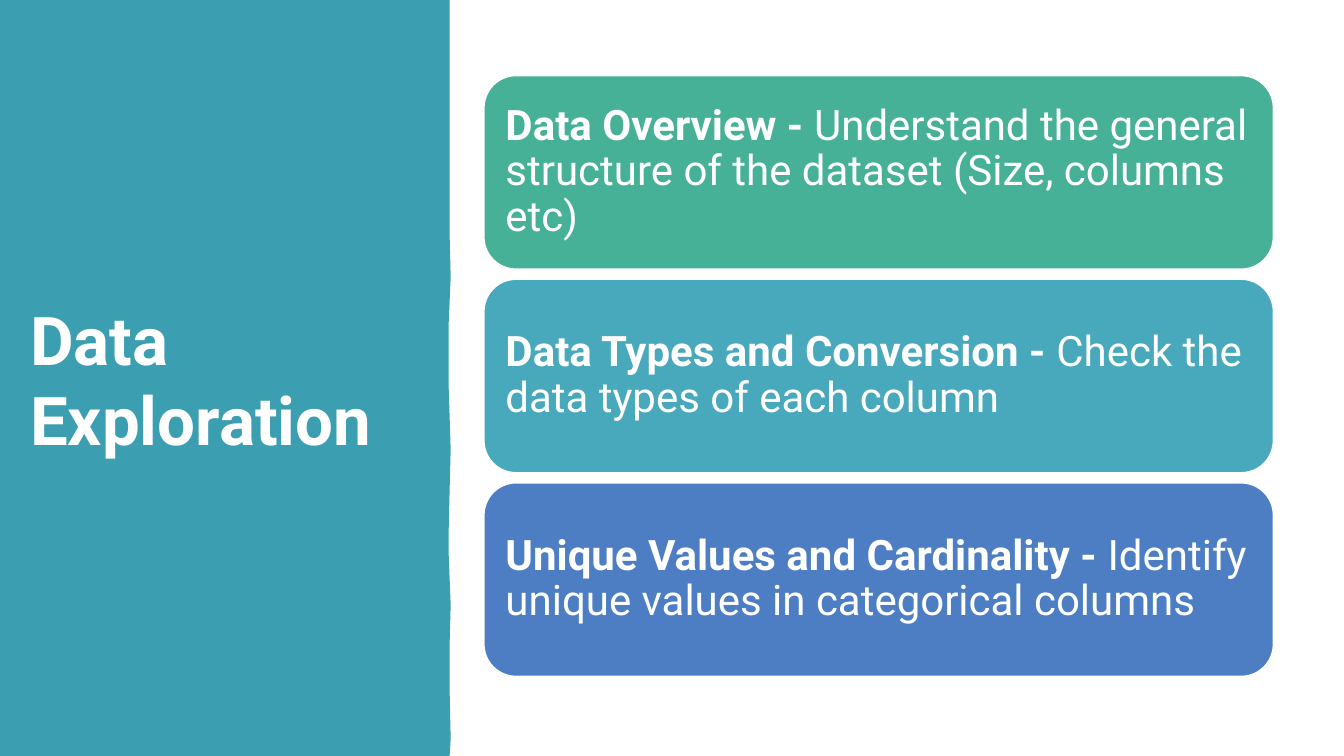
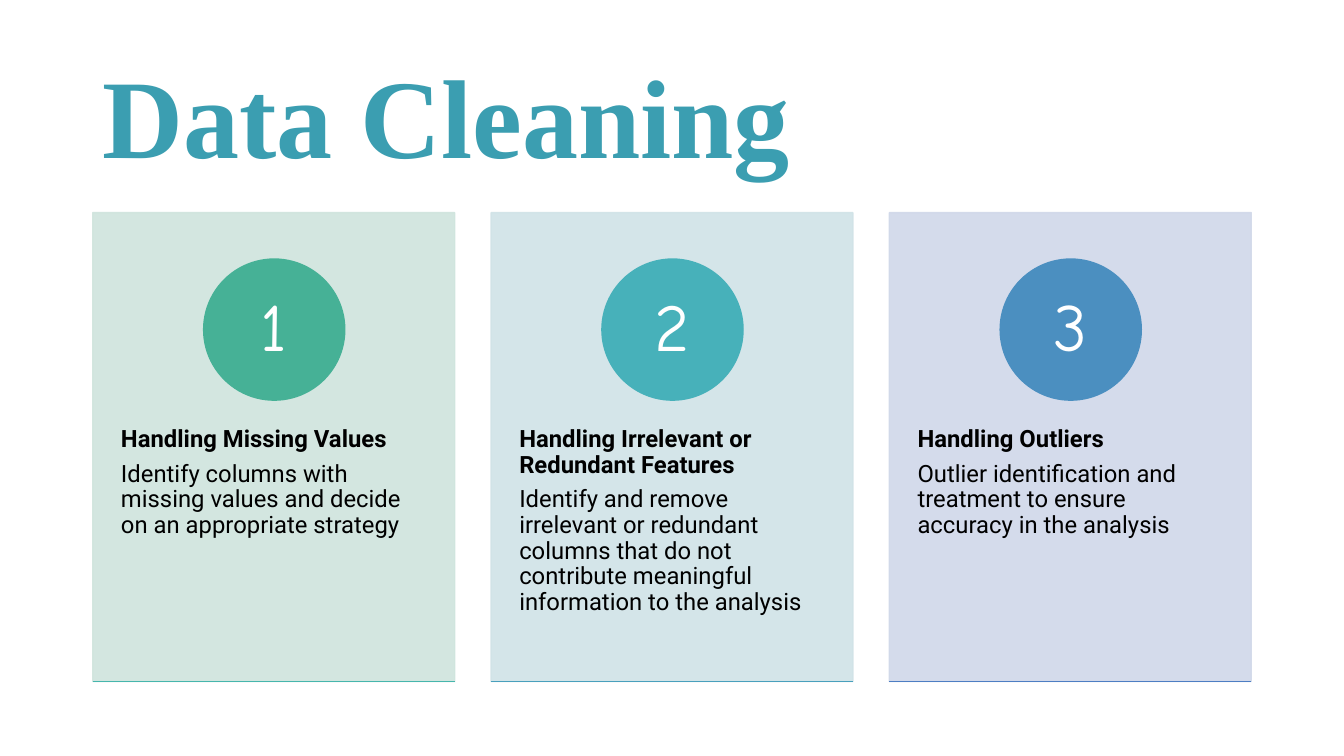
from lxml import etree
from pptx import Presentation
from pptx import util as u
from pptx.dml.color import RGBColor
from pptx.enum import shapes, text
from pptx.oxml.ns import qn

PX = 9144  # one hundredth of an inch
SLIDE_WIDTH, SLIDE_HEIGHT = 1333, 750

WHITE = RGBColor(0xFF, 0xFF, 0xFF)
BLACK = RGBColor(0x00, 0x00, 0x00)
TEAL = RGBColor(0x3B, 0x9E, 0xB1)
GREEN = RGBColor(0x46, 0xB1, 0x96)
SEA = RGBColor(0x48, 0xA9, 0xBC)
BLUE = RGBColor(0x4D, 0x7E, 0xC3)
LAGOON = RGBColor(0x47, 0xB1, 0xBA)
AZURE = RGBColor(0x4B, 0x8F, 0xC0)
MINT_RULE = RGBColor(0x46, 0xB6, 0xAD)
SEA_RULE = RGBColor(0x49, 0xA0, 0xBD)
PALE_GREEN = RGBColor(0xCF, 0xE4, 0xDD)
PALE_TEAL = RGBColor(0xD0, 0xE3, 0xE7)
PALE_BLUE = RGBColor(0xD0, 0xD8, 0xE9)

BODY_FONT = "Roboto"
TITLE_FONT = "Times New Roman"
NUMBER_FONT = "Comic Neue"

# Wavy right edge of the title band, from top to bottom
BAND_EDGE = [
    (446, 0), (446, 63), (446, 102), (446, 141), (446, 174), (446, 233),
    (447, 275), (445, 322), (445, 383), (447, 446), (446, 486), (445, 528),
    (445, 549), (447, 600), (446, 639), (446, 685), (447, 733), (446, 750),
]

EXPLORATION_STEPS = [
    ("Data Overview - ",
     "Understand the general structure of the dataset (Size, columns etc)", GREEN),
    ("Data Types and Conversion - ", "Check the data types of each column", SEA),
    ("Unique Values and Cardinality - ",
     "Identify unique values in categorical columns", BLUE),
]

CLEANING_STEPS = [
    ("Handling Missing Values",
     "Identify columns with missing values and decide on an appropriate strategy",
     PALE_GREEN, GREEN, MINT_RULE),
    ("Handling Irrelevant or Redundant Features",
     "Identify and remove irrelevant or redundant columns that do not contribute "
     "meaningful information to the analysis",
     PALE_TEAL, LAGOON, SEA_RULE),
    ("Handling Outliers",
     "Outlier identification and treatment to ensure accuracy in the analysis",
     PALE_BLUE, AZURE, BLUE),
]


def px(*lengths):
    return [u.Emu(length * PX) for length in lengths]


def paint(shape, fill, line=None, opacity=100):
    """Give a shape a flat fill and a 1 pt line, or no line."""
    shape.shadow.inherit = False
    shape.fill.solid()
    shape.fill.fore_color.rgb = fill
    if line is None:
        shape.line.fill.background()
    else:
        shape.line.color.rgb = line
        shape.line.width = u.Pt(1)
    if opacity < 100:
        for color in shape._element.spPr.iter(qn("a:srgbClr")):
            etree.SubElement(color, qn("a:alpha")).set("val", str(opacity * 1000))


def set_frame(shape, anchor, insets):
    """Wrap the text of a shape; insets are left, top, right, bottom."""
    frame = shape.text_frame
    frame.word_wrap = True
    frame.vertical_anchor = anchor
    (frame.margin_left, frame.margin_top,
     frame.margin_right, frame.margin_bottom) = px(*insets)
    return frame


def style(para, font, size, color, bold=None, align=text.PP_ALIGN.LEFT, spacing=0.9):
    para.alignment = align
    para.line_spacing = spacing
    para.font.name = font
    para.font.size = u.Pt(size)
    para.font.color.rgb = color
    para.font.bold = bold


def add_title(page, box, words, font, size, color):
    title = page.shapes.add_textbox(*px(*box))
    frame = set_frame(title, text.MSO_ANCHOR.MIDDLE, (10, 5, 10, 5))
    para = frame.paragraphs[0]
    para.add_run().text = words
    style(para, font, size, color, bold=True, spacing=1.0)


def add_band(page):
    builder = page.shapes.build_freeform(0, 0, scale=PX)
    builder.add_line_segments(BAND_EDGE + [(0, SLIDE_HEIGHT)], close=True)
    paint(builder.convert_to_shape(), TEAL)


def add_card(page, box, lead, detail, color):
    card = page.shapes.add_shape(shapes.MSO_SHAPE.ROUNDED_RECTANGLE, *px(*box))
    paint(card, color, WHITE)
    frame = set_frame(card, text.MSO_ANCHOR.MIDDLE, (12, 12, 12, 12))
    para = frame.paragraphs[0]
    for words, bold in ((lead, True), (detail, False)):
        span = para.add_run()
        span.text = words
        span.font.bold = bold
    style(para, BODY_FONT, 30, WHITE)


def add_rule(page, left, top, width, color):
    rule = page.shapes.add_connector(
        shapes.MSO_CONNECTOR.STRAIGHT, *px(left, top, left + width, top))
    rule.line.color.rgb = color
    rule.line.width = u.Pt(1)
    etree.SubElement(rule._element.spPr, qn("a:effectLst"))


def add_panel(page, box, number, heading, detail, pale, strong, rule_color):
    """Place a tinted panel with a numbered circle, its text and a bottom rule."""
    left, top, width, height = box
    panel = page.shapes.add_shape(shapes.MSO_SHAPE.RECTANGLE, *px(*box))
    paint(panel, pale, pale, opacity=90)
    frame = set_frame(panel, text.MSO_ANCHOR.TOP, (28, 213, 28, 36))
    for para, words, bold in ((frame.paragraphs[0], heading, True),
                              (frame.add_paragraph(), detail, False)):
        para.add_run().text = words
        style(para, BODY_FONT, 17, BLACK, bold)
    frame.paragraphs[0].space_after = u.Pt(6)

    diameter = 140
    circle = page.shapes.add_shape(
        shapes.MSO_SHAPE.OVAL,
        *px(left + (width - diameter) // 2 + 1, top + 46, diameter, diameter))
    paint(circle, strong, strong)
    para = set_frame(circle, text.MSO_ANCHOR.MIDDLE, (11, 1, 11, 1)).paragraphs[0]
    para.add_run().text = str(number)
    style(para, NUMBER_FONT, 48, WHITE, align=text.PP_ALIGN.CENTER)

    add_rule(page, left, top + height, width, rule_color)


def build_exploration(page):
    add_band(page)
    add_title(page, (20, 70, 403, 611), "Data Exploration", BODY_FONT, 48, WHITE)
    height, gap = 192, 10
    for index, step in enumerate(EXPLORATION_STEPS):
        add_card(page, (480, 75 + index * (height + gap), 783, height), *step)


def build_cleaning(page):
    add_title(page, (92, 40, 1150, 145), "Data Cleaning", TITLE_FONT, 80, TEAL)
    width, gap = 359, 36
    for index, step in enumerate(CLEANING_STEPS):
        box = (92 + index * (width + gap), 211, width, 465)
        add_panel(page, box, index + 1, *step)


def main():
    deck = Presentation()
    deck.slide_width, deck.slide_height = px(SLIDE_WIDTH, SLIDE_HEIGHT)
    for build in (build_exploration, build_cleaning):
        build(deck.slides.add_slide(deck.slide_layouts[6]))
    deck.save("out.pptx")


if __name__ == "__main__":
    main()
